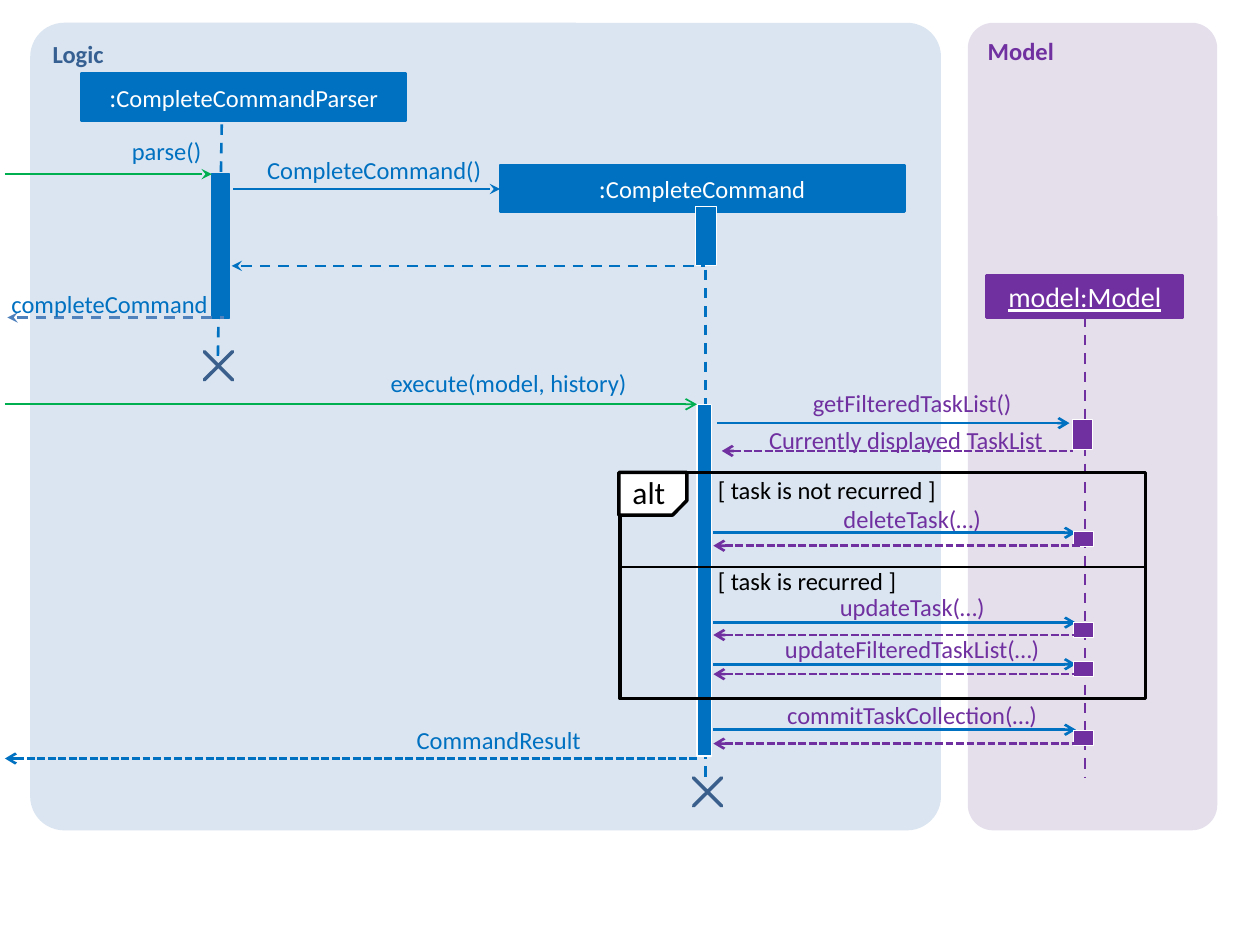
from pptx import Presentation
from pptx.dml.color import RGBColor
from pptx.enum.dml import MSO_LINE as DASH
from pptx.enum.shapes import MSO_CONNECTOR, MSO_SHAPE as SHAPE
from pptx.enum.text import MSO_ANCHOR as ANCHOR, PP_ALIGN as ALIGN
from pptx.oxml.ns import qn
from pptx.util import Cm, Pt
from lxml.etree import SubElement

COLORS = {
    "logic": "0070C0", "logic_panel": "DAE5F1", "logic_title": "376092",
    "model": "7030A0", "model_panel": "E5DFEC", "entry": "00B050",
    "reply": "4F81BD", "cross": "3A5F8C", "white": "FFFFFF", "black": "000000",
}


class Diagram:
    """Sequence diagram style and the slide it is drawn on."""

    font = "Calibri"
    size = 14
    width = 1.5

    def __init__(self, prs):
        """Add an empty slide."""
        self.s = prs.slides.add_slide(prs.slide_layouts[6])

    def color(self, name):
        """Look up a named colour."""
        return RGBColor.from_string(COLORS[name])

    def set_text(self, sp, runs, color, align=ALIGN.LEFT, anchor=ANCHOR.TOP,
                 inset=None, wrap=True, **font):
        """Fill a shape with one paragraph of (text, size) runs."""
        tf = sp.text_frame
        tf.word_wrap, tf.vertical_anchor = wrap, anchor
        if inset is not None:
            for side in ("left", "top", "right", "bottom"):
                setattr(tf, f"margin_{side}", Cm(inset))
        p = tf.paragraphs[0]
        p.alignment = align
        for text, size in runs:
            r = p.add_run()
            r.text = text
            r.font.color.rgb = self.color(color)
            for key, value in {"name": self.font, "size": Pt(size), **font}.items():
                setattr(r.font, key, value)

    def shape(self, kind, box, fill=None, line=None, width=0.75, adj=None):
        """Draw a preset shape without shadow."""
        sp = self.s.shapes.add_shape(kind, *map(Cm, box))
        sp.shadow.inherit = False
        if adj is not None:
            sp.adjustments[0] = adj
        if fill:
            sp.fill.solid()
            sp.fill.fore_color.rgb = self.color(fill)
        else:
            sp.fill.background()
        if line:
            sp.line.color.rgb = self.color(line)
            sp.line.width = Pt(width)
        else:
            sp.line.fill.background()
        return sp

    def panel(self, title, box, fill, color, adj):
        """Draw a rounded component area with its title."""
        sp = self.shape(SHAPE.ROUNDED_RECTANGLE, box, fill, adj=adj)
        self.set_text(sp, [(title, self.size)], color, bold=True)

    def participant(self, runs, box, color, **font):
        """Draw the head box of a lifeline."""
        sp = self.shape(SHAPE.RECTANGLE, box, color, color, self.width)
        self.set_text(sp, runs, "white", ALIGN.CENTER, ANCHOR.MIDDLE, **font)

    def bar(self, box, color, line="white"):
        """Draw an activation bar."""
        self.shape(SHAPE.RECTANGLE, box, color, line)

    def cross(self, x, y):
        """Mark the end of a lifeline."""
        self.shape(SHAPE.MATH_MULTIPLY, (x, y, 1.09, 1.09), "reply", "cross", 2, 0)

    def line(self, start, end, color, dash=None, head=None, tail=None, width=width):
        """Draw a straight line, optionally dashed or with an arrowhead."""
        c = self.s.shapes.add_connector(MSO_CONNECTOR.STRAIGHT, *map(Cm, start + end))
        c.line.color.rgb = self.color(color)
        c.line.width = Pt(width)
        if dash:
            c.line.dash_style = dash
        spPr = c._element.spPr
        for tag, kind in (("a:headEnd", head), ("a:tailEnd", tail)):
            if kind:
                SubElement(spPr.find(qn("a:ln")), qn(tag)).set("type", kind)
        SubElement(spPr, qn("a:effectLst"))

    def message(self, x1, x2, y, color, **style):
        """Draw a horizontal message line."""
        self.line((x1, y), (x2, y), color, **style)

    def label(self, text, x, y, w, color, align=ALIGN.CENTER, h=0.61, size=size,
              inset=0, wrap=True):
        """Place a text label."""
        tb = self.s.shapes.add_textbox(*map(Cm, (x, y, w, h)))
        self.set_text(tb, [(text, size)], color, align, inset=inset, wrap=wrap)

    def model_call(self, text, label_y, call_y, bar_y, reply_y):
        """Draw a short call from the command to the model, and its reply."""
        self.label(text, 15, label_y, 6.78, "model")
        self.message(14.38, 21.69, call_y, "logic", tail="arrow")
        self.bar((21.64, bar_y, 0.41, 0.3), "model")
        self.message(14.38, 21.77, reply_y, "model", dash=DASH.SQUARE_DOT, head="arrow")


prs = Presentation()
prs.slide_width, prs.slide_height = Cm(25.4), Cm(19.05)
d = Diagram(prs)

# Components, lifelines and participants
d.panel("Model", (19.51, 0.46, 5.03, 16.28), "model_panel", "model", 0.102)
d.panel("Logic", (0.61, 0.46, 18.36, 16.28), "logic_panel", "logic_title", 0.042)
for start, end, color in (
    ((4.47, 2.51), (4.39, 7.34), "logic"),
    ((14.22, 4.32), (14.22, 15.67), "logic"),
    ((21.87, 6.38), (21.87, 15.67), "model"),
):
    d.line(start, end, color, DASH.DASH)
for name, box in (
    ("CompleteCommandParser", (1.65, 1.47, 6.53, 0.97)),
    ("CompleteCommand", (10.08, 3.33, 8.15, 0.94)),
):
    d.participant([(":", 15), (name, 14)], box, "logic")
d.participant([("model:Model", 16)], (19.89, 5.56, 3.96, 0.84), "model", underline=True)
d.bar((4.27, 3.51, 0.36, 2.9), "logic", "logic")
d.bar((14.02, 4.17, 0.43, 1.19), "logic")
d.bar((14.05, 8.15, 0.3, 7.09), "logic")
d.bar((21.62, 8.46, 0.41, 0.61), "model")

# Parsing
d.message(0.1, 4.27, 3.51, "entry", tail="stealth")
d.label("parse()", 0.1, 2.74, 3.96, "logic", ALIGN.RIGHT)
d.message(4.7, 10.08, 3.81, "logic", tail="stealth")
d.label("CompleteCommand()", 3.94, 3.12, 7.21, "logic")
d.message(4.67, 14.22, 5.36, "logic", dash=DASH.DASH, head="stealth")
d.message(0.15, 4.52, 6.4, "reply", dash=DASH.DASH, head="stealth")
d.label("completeCommand", -0.03, 5.82, 4.22, "logic", ALIGN.RIGHT, h=0.76)

# Execution
d.message(0.1, 14.05, 8.15, "entry", tail="arrow", width=1)
d.label("execute(model, history)", 6.65, 7.42, 7.21, "logic")
d.message(0.1, 14.1, 15.29, "logic", dash=DASH.SQUARE_DOT, head="arrow")
d.label("CommandResult", 6.45, 14.61, 7.21, "logic")
d.label("getFilteredTaskList()", 15, 7.82, 6.78, "model")
d.message(14.45, 21.56, 8.53, "logic", tail="arrow")
d.label("Currently displayed TaskList", 14.66, 8.56, 7.21, "model")
d.message(14.55, 21.64, 9.09, "model", dash=DASH.SQUARE_DOT, head="arrow")
for call in (
    ("deleteTask(…)", 10.16, 10.74, 10.72, 11),
    ("updateTask(…)", 11.94, 12.55, 12.55, 12.8),
    ("updateFilteredTaskList(…)", 12.78, 13.39, 13.34, 13.59),
    ("commitTaskCollection(…)", 14.12, 14.71, 14.73, 14.99),
):
    d.model_call(*call)
for x, y in ((3.86, 6.83), (13.72, 15.42)):
    d.cross(x, y)

# Alternative frame
d.shape(SHAPE.RECTANGLE, (12.5, 9.53, 10.59, 4.55), None, "black", 2)
d.message(12.5, 23.06, 11.43, "black")
tab = d.shape(SHAPE.SNIP_1_RECTANGLE, (12.73, 9.27, 0.86, 1.37), "white", "black", 2, 0.338)
tab.rotation = 90
d.label("alt", 12.5, 9.42, 1.73, "black", ALIGN.LEFT, h=1.02, size=18, inset=None)
for text, y, w in (
    ("[ task is not recurred ]", 9.45, 4.95),
    ("[ task is recurred ]", 11.28, 4.14),
):
    d.label(text, 14.22, y, w, "black", ALIGN.LEFT, h=0.86, inset=None, wrap=False)

prs.save("out.pptx")
